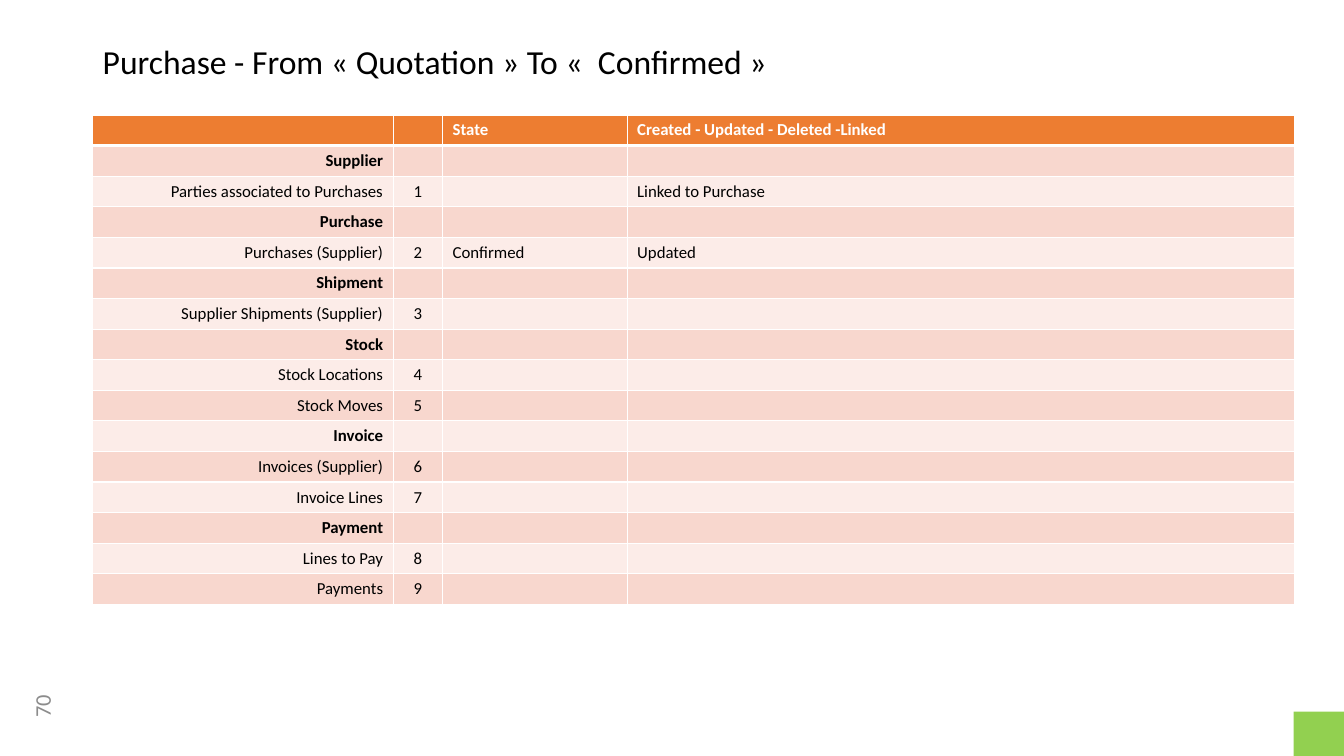
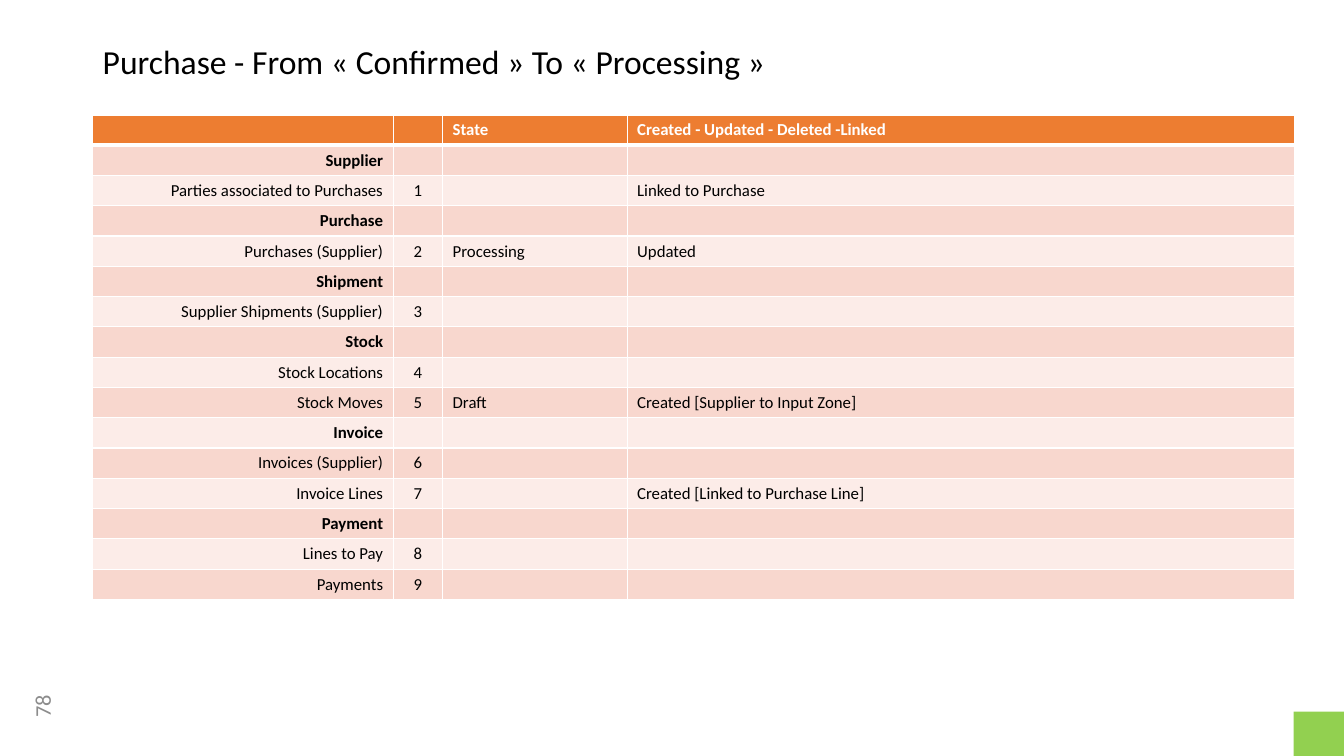
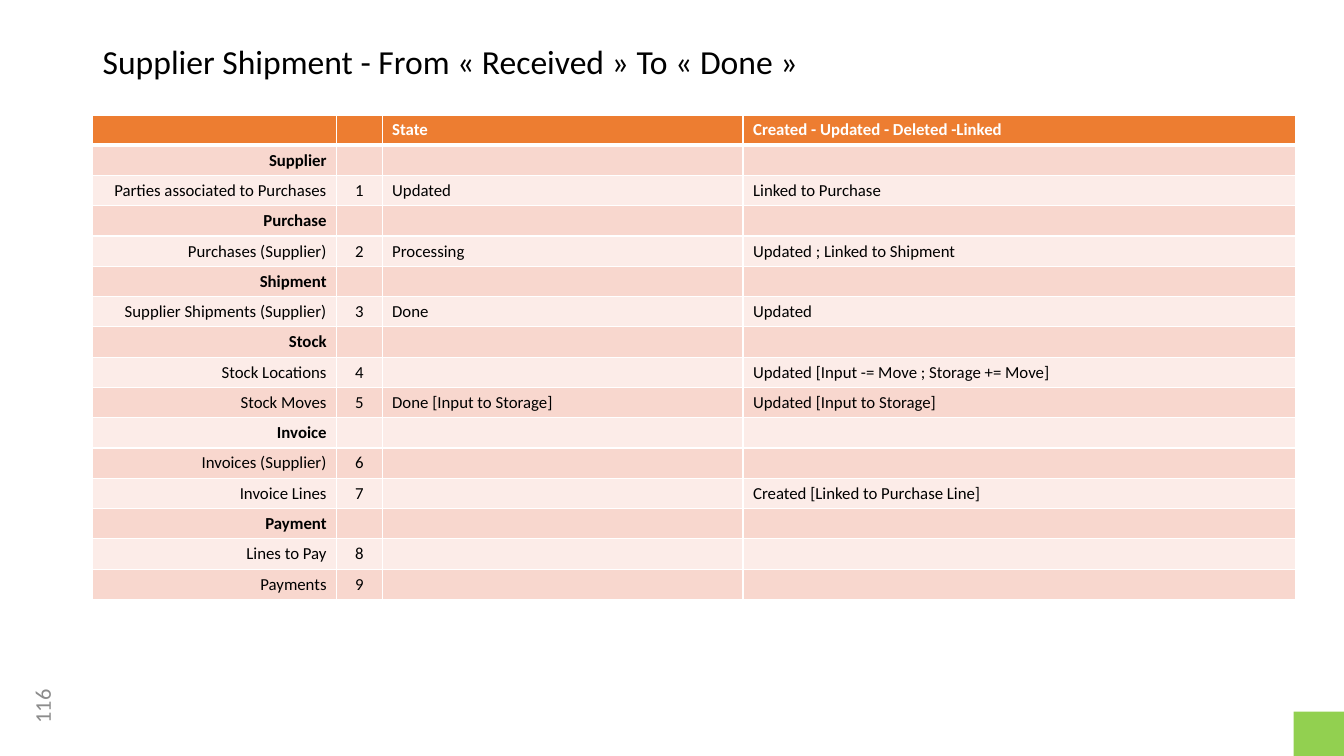
import dataclasses

import lxml.etree
import pptx
import pptx.dml.color
import pptx.enum.shapes
import pptx.enum.text
import pptx.oxml.ns
import pptx.util

Inches = pptx.util.Inches
Pt = pptx.util.Pt
ALIGN = pptx.enum.text.PP_ALIGN
ANCHOR = pptx.enum.text.MSO_ANCHOR
qn = pptx.oxml.ns.qn


@dataclasses.dataclass(frozen=True)
class Theme:
    font: str = "Calibri"
    text: str = "000000"
    white: str = "FFFFFF"
    header: str = "ED7D31"
    dark_band: str = "F8D7CE"
    light_band: str = "FCECE8"
    page_number: str = "8C8C8C"
    corner: str = "92D050"
    title_size: int = 24
    number_size: int = 16
    table_size: int = 12
    rule: int = 1
    header_rule: int = 3


THEME = Theme()

TITLE_BOX = (0.92, 0.4, 11.5, 0.51)
TABLE_BOX = (0.92, 1.14, 11.92, 4.8)
NUMBER_BOX = (0.04, 6.81, 0.75, 0.4)
CORNER_BOX = (12.83, 7.06, 0.5, 0.44)

HEADINGS = ("", "", "State", "Created - Updated - Deleted -Linked")
COLUMN_ALIGN = (ALIGN.RIGHT, ALIGN.CENTER, ALIGN.LEFT, ALIGN.LEFT)
GROUPS = {
    "Supplier": ["Parties associated to Purchases"],
    "Purchase": ["Purchases (Supplier)"],
    "Shipment": ["Supplier Shipments (Supplier)"],
    "Stock": ["Stock Locations", "Stock Moves"],
    "Invoice": ["Invoices (Supplier)", "Invoice Lines"],
    "Payment": ["Lines to Pay", "Payments"],
}

PURCHASE_COLUMNS = (2.98, 0.49, 1.83, 6.62)
SHIPMENT_COLUMNS = (2.42, 0.45, 3.58, 5.48)

SLIDES = [
    {
        "title": "Purchase - From « Quotation » To «  Confirmed »",
        "number": 70,
        "columns": PURCHASE_COLUMNS,
        "changes": {
            1: ("", "Linked to Purchase"),
            2: ("Confirmed", "Updated"),
        },
    },
    {
        "title": "Purchase - From « Confirmed » To « Processing »",
        "number": 78,
        "columns": PURCHASE_COLUMNS,
        "changes": {
            1: ("", "Linked to Purchase"),
            2: ("Processing", "Updated"),
            5: ("Draft", "Created [Supplier to Input Zone]"),
            7: ("", "Created [Linked to Purchase Line]"),
        },
    },
    {
        "title": "Supplier Shipment - From « Received » To « Done »",
        "number": 116,
        "columns": SHIPMENT_COLUMNS,
        "changes": {
            1: ("Updated", "Linked to Purchase"),
            2: ("Processing", "Updated ; Linked to Shipment"),
            3: ("Done", "Updated"),
            4: ("", "Updated [Input -= Move ; Storage += Move]"),
            5: ("Done [Input to Storage]", "Updated [Input to Storage]"),
            7: ("", "Created [Linked to Purchase Line]"),
        },
    },
]


def rgb(value):
    return pptx.dml.color.RGBColor.from_string(value)


def place(box):
    return [Inches(v) for v in box]


def write(p, text, size, color, bold=False, align=ALIGN.LEFT):
    p.text = text
    p.alignment = align
    for r in p.runs:
        r.font.name = THEME.font
        r.font.size = Pt(size)
        r.font.bold = bold
        r.font.color.rgb = rgb(color)
    if not text:
        end = lxml.etree.SubElement(p._p, qn("a:endParaRPr"))
        end.set("sz", str(size * 100))


def add_text(slide, box, text, size, color, align=ALIGN.LEFT, anchor=ANCHOR.TOP):
    sp = slide.shapes.add_textbox(*place(box))
    tf = sp.text_frame
    tf.word_wrap = True
    tf.vertical_anchor = anchor
    write(tf.paragraphs[0], text, size, color, align=align)
    return sp


def add_title(slide, box, text):
    sp = add_text(slide, box, text, THEME.title_size, THEME.text)
    sp.text_frame.paragraphs[0].line_spacing = 0.9


def add_page_number(slide, box, number):
    sp = add_text(slide, box, str(number), THEME.number_size, THEME.page_number,
                  ALIGN.CENTER, ANCHOR.MIDDLE)
    sp.rotation = 270


def add_corner(slide, box):
    sp = slide.shapes.add_shape(pptx.enum.shapes.MSO_SHAPE.RECTANGLE, *place(box))
    sp.shadow.inherit = False
    sp.fill.solid()
    sp.fill.fore_color.rgb = rgb(THEME.corner)
    sp.line.fill.background()


def set_borders(cell, top, bottom):
    tc_pr = cell._tc.get_or_add_tcPr()
    widths = {"lnL": THEME.rule, "lnR": THEME.rule, "lnT": top, "lnB": bottom}
    for side, width in widths.items():
        ln = lxml.etree.SubElement(tc_pr, qn(f"a:{side}"))
        ln.set("w", str(Pt(width)))
        fill = lxml.etree.SubElement(ln, qn("a:solidFill"))
        lxml.etree.SubElement(fill, qn("a:srgbClr")).set("val", THEME.white)


def table_rows(changes):
    rows = [HEADINGS]
    number = 0
    for group, items in GROUPS.items():
        rows.append((group, "", "", ""))
        for item in items:
            number += 1
            rows.append((item, str(number), *changes.get(number, ("", ""))))
    return rows


def add_state_table(slide, box, columns, changes):
    rows = table_rows(changes)
    table = slide.shapes.add_table(len(rows), len(columns), *place(box)).table
    for column, width in zip(table.columns, columns):
        column.width = Inches(width)
    for i, values in enumerate(rows):
        table.rows[i].height = Inches(box[3] / len(rows))
        is_header = i == 0
        band = THEME.dark_band if i % 2 else THEME.light_band
        for j, text in enumerate(values):
            cell = table.cell(i, j)
            set_borders(cell,
                        THEME.header_rule if i == 1 else THEME.rule,
                        THEME.header_rule if is_header else THEME.rule)
            cell.fill.solid()
            cell.fill.fore_color.rgb = rgb(THEME.header if is_header else band)
            write(cell.text_frame.paragraphs[0], text, THEME.table_size,
                  THEME.white if is_header else THEME.text,
                  is_header or text in GROUPS, COLUMN_ALIGN[j])


def add_state_slide(prs, title, number, columns, changes):
    slide = prs.slides.add_slide(prs.slide_layouts[6])
    add_state_table(slide, TABLE_BOX, columns, changes)
    add_page_number(slide, NUMBER_BOX, number)
    add_corner(slide, CORNER_BOX)
    add_title(slide, TITLE_BOX, title)


def main():
    prs = pptx.Presentation()
    prs.slide_width = Inches(13.33)
    prs.slide_height = Inches(7.5)
    for content in SLIDES:
        add_state_slide(prs, **content)
    prs.save("out.pptx")


if __name__ == "__main__":
    main()
